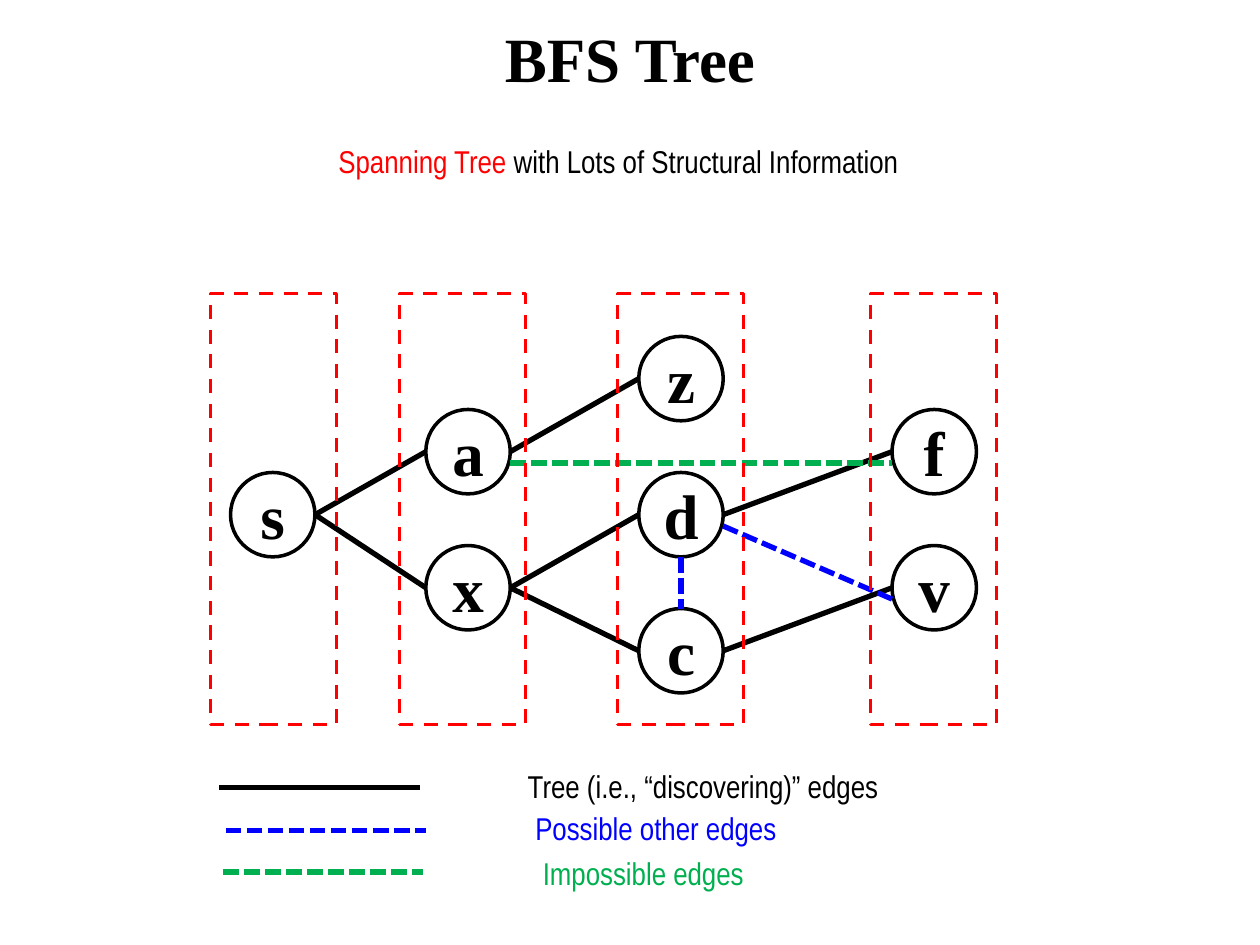
from dataclasses import dataclass

from lxml.etree import SubElement
from pptx import Presentation
from pptx.dml.color import RGBColor
from pptx.enum.dml import MSO_LINE
from pptx.enum.shapes import MSO_CONNECTOR, MSO_SHAPE
from pptx.enum.text import MSO_ANCHOR, PP_ALIGN
from pptx.oxml.ns import qn
from pptx.util import Inches, Pt


@dataclass(frozen=True)
class Theme:
    black = RGBColor(0x00, 0x00, 0x00)
    white = RGBColor(0xFF, 0xFF, 0xFF)
    red = RGBColor(0xFF, 0x00, 0x00)
    blue = RGBColor(0x00, 0x00, 0xFF)
    green = RGBColor(0x00, 0xB0, 0x50)
    heading_font = "Times New Roman"
    body_font = "Arial Narrow"
    heading_size = Pt(36)
    body_size = Pt(18)
    outline = Pt(2)
    edge = Pt(3)


theme = Theme()
prs = Presentation()
prs.slide_width, prs.slide_height = Inches(10), Inches(7.5)
slide = prs.slides.add_slide(prs.slide_layouts[6])


def add_edge(start, end, color, dash=None):
    points = [Inches(value) for value in (*start, *end)]
    edge = slide.shapes.add_connector(MSO_CONNECTOR.STRAIGHT, *points)
    edge.line.color.rgb = color
    edge.line.width = theme.edge
    if dash:
        edge.line.dash_style = dash
    SubElement(edge._element.spPr, qn("a:effectLst"))


def write(frame, runs, heading=False, align=PP_ALIGN.CENTER):
    frame.word_wrap = True
    frame.vertical_anchor = MSO_ANCHOR.MIDDLE if heading else MSO_ANCHOR.TOP
    paragraph = frame.paragraphs[0]
    paragraph.alignment = align
    paragraph.font.name = theme.heading_font if heading else theme.body_font
    paragraph.font.size = theme.heading_size if heading else theme.body_size
    paragraph.font.bold = heading
    for text, color in runs:
        run = paragraph.add_run()
        run.text = text
        run.font.color.rgb = color


# Title
title = slide.shapes.add_textbox(Inches(0.5), Inches(-0.17), Inches(9), Inches(1.25))
write(title.text_frame, [("BFS Tree", theme.black)], heading=True)

# Graph nodes, by left and top
node_size = 0.67
nodes = {
    "s": (1.83, 3.75),
    "a": (3.38, 3.25), "x": (3.38, 4.33),
    "c": (5.07, 4.83), "z": (5.07, 2.67), "d": (5.07, 3.75),
    "v": (7.08, 4.33), "f": (7.08, 3.25),
}
for letter, (left, top) in nodes.items():
    node = slide.shapes.add_shape(MSO_SHAPE.OVAL, Inches(left), Inches(top),
                                  Inches(node_size), Inches(node_size))
    node.shadow.inherit = False
    node.fill.solid()
    node.fill.fore_color.rgb = theme.white
    node.line.color.rgb = theme.black
    node.line.width = theme.outline
    write(node.text_frame, [(letter, theme.black)], heading=True)

# Edges from a parent's right side to a child's left side;
# non-tree edges run slightly lower
tree, possible, impossible = (
    (theme.black, None, 0),
    (theme.blue, MSO_LINE.SQUARE_DOT, 0.09),
    (theme.green, MSO_LINE.SQUARE_DOT, 0.09),
)
for pair, (color, dash, drop) in [
    ("sa", tree), ("sx", tree), ("az", tree), ("xd", tree), ("xc", tree),
    ("df", tree), ("cv", tree), ("dv", possible), ("af", impossible),
]:
    (left, top), (child_left, child_top) = (nodes[letter] for letter in pair)
    middle = node_size / 2 + drop
    add_edge((left + node_size, top + middle), (child_left, child_top + middle),
             color, dash)

# Edge within a level, from d down to c
d_left, d_top = nodes["d"]
level_x = d_left + node_size / 2
add_edge((level_x, d_top + node_size), (level_x, nodes["c"][1]), *possible[:2])

# Subtitle
subtitle = slide.shapes.add_textbox(Inches(1.42), Inches(1.08), Inches(6.92), Inches(0.4))
write(subtitle.text_frame, [(" ", theme.black), ("Spanning Tree ", theme.red),
                            ("with Lots of Structural Information", theme.black)])

# BFS levels
for left in (1.67, 3.17, 4.9, 6.91):
    level = slide.shapes.add_shape(MSO_SHAPE.RECTANGLE, Inches(left), Inches(2.33),
                                   Inches(1), Inches(3.42))
    level.shadow.inherit = False
    level.fill.background()
    level.line.color.rgb = theme.red
    level.line.width = theme.outline
    level.line.dash_style = MSO_LINE.DASH

# Legend
for label, (color, dash, _), line_left, line_y, text_left, text_top, width in [
    ("Tree (i.e., “discovering)” edges", tree, 1.74, 6.25, 4.09, 6.04, 3.66),
    ("Possible other edges", possible, 1.79, 6.59, 4.15, 6.37, 2.83),
    ("Impossible edges", impossible, 1.77, 6.92, 4.21, 6.73, 2.83),
]:
    add_edge((line_left, line_y), (line_left + 1.59, line_y), color, dash)
    entry = slide.shapes.add_textbox(Inches(text_left), Inches(text_top),
                                     Inches(width), Inches(0.4))
    write(entry.text_frame, [(label, color)], align=PP_ALIGN.LEFT)

prs.save("out.pptx")
